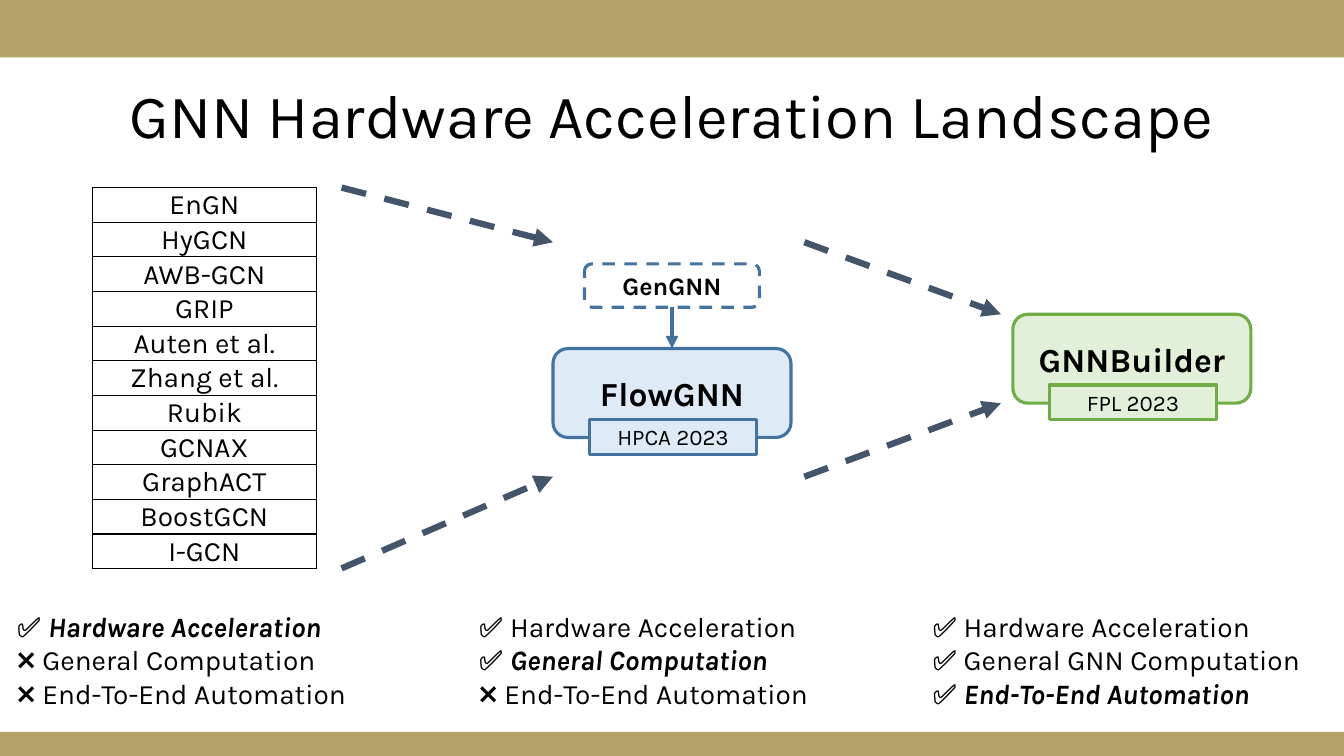
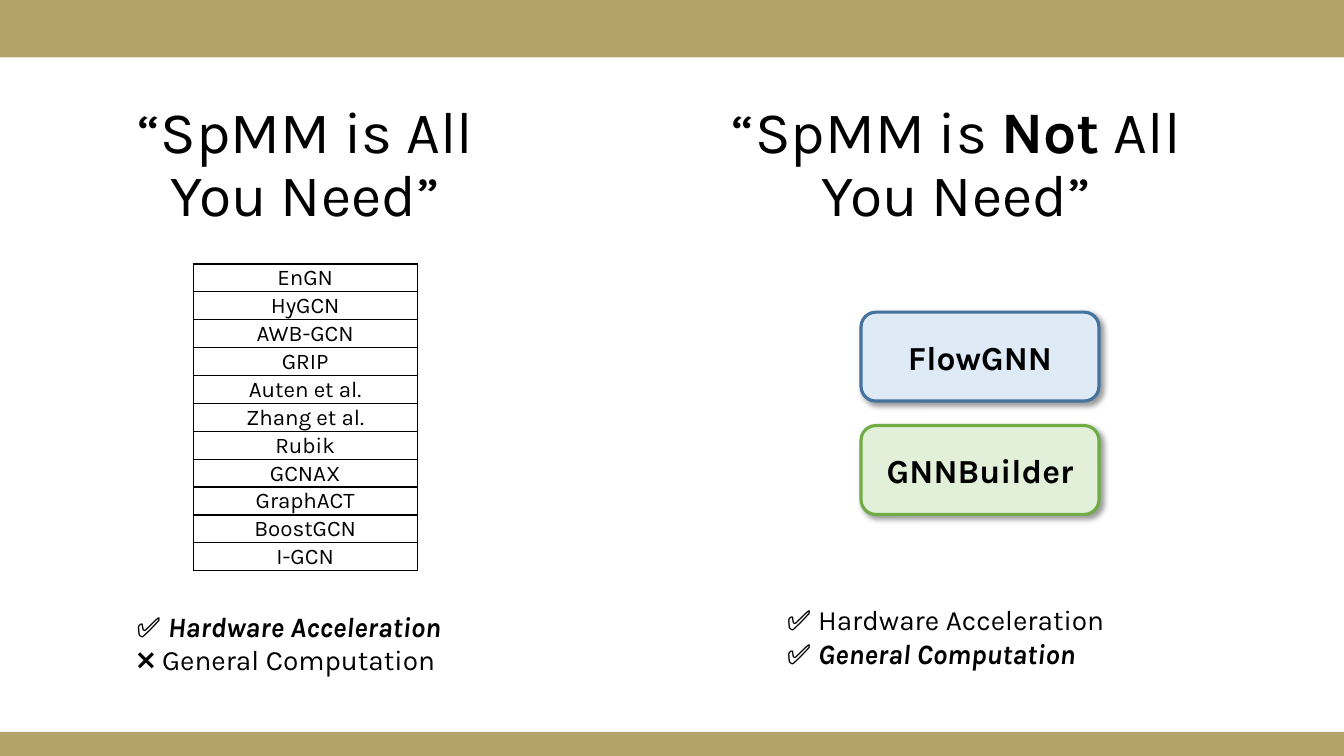
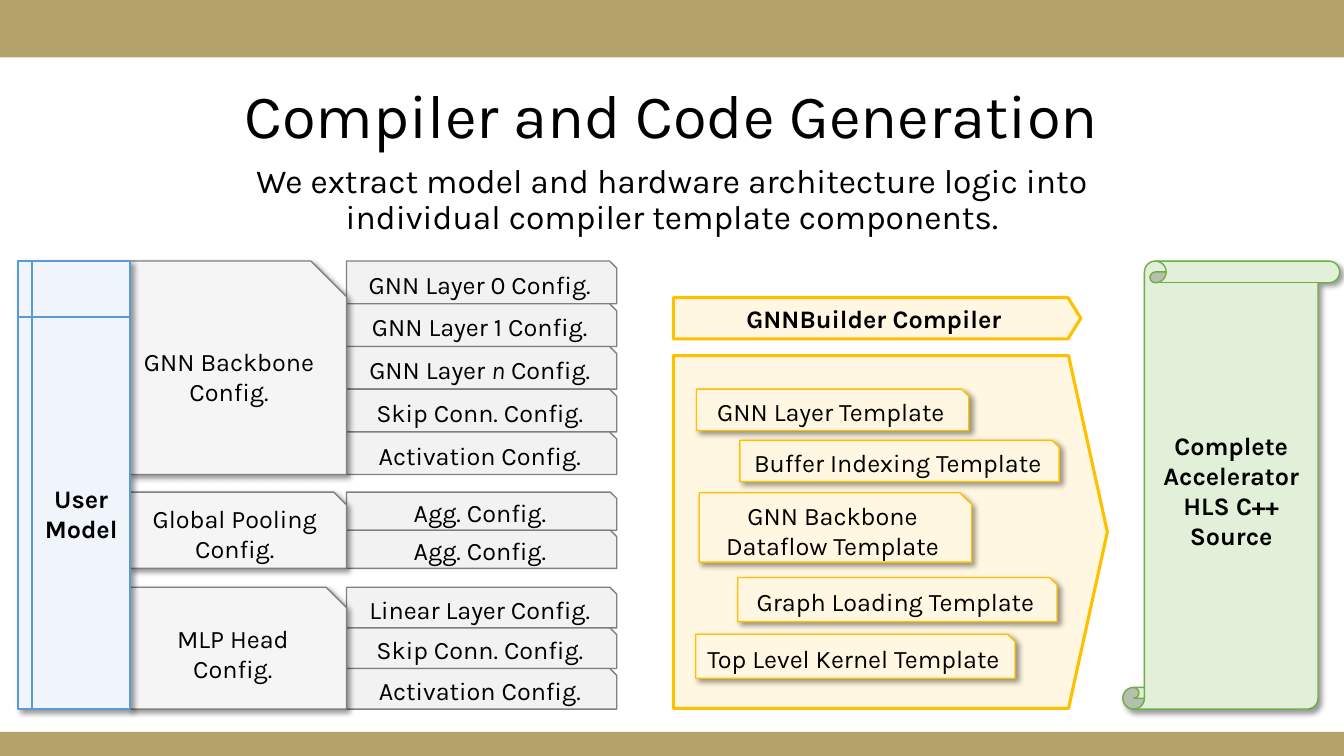
from lxml import etree
from pptx import Presentation
from pptx.dml.color import RGBColor
from pptx.enum import dml, shapes, text as t
from pptx.oxml.ns import qn
from pptx.util import Pt

FONT = "Karla"
BLACK = RGBColor(0x00, 0x00, 0x00)
WHITE = RGBColor(0xFF, 0xFF, 0xFF)
GOLD = RGBColor(0xB3, 0xA3, 0x69)
SLATE = RGBColor(0x44, 0x54, 0x6A)
BLUE = RGBColor(0x43, 0x73, 0x9E)
ARROW_BLUE = RGBColor(0x41, 0x71, 0x9C)
PALE_BLUE = RGBColor(0xDE, 0xEB, 0xF7)
MODEL_BLUE = RGBColor(0x5B, 0x9B, 0xD5)
MODEL_PALE = RGBColor(0xEF, 0xF5, 0xFB)
GREEN = RGBColor(0x70, 0xAD, 0x47)
PALE_GREEN = RGBColor(0xE2, 0xF0, 0xD9)
YELLOW = RGBColor(0xFF, 0xC0, 0x00)
PALE_YELLOW = RGBColor(0xFF, 0xF7, 0xE1)
GRAY = RGBColor(0x80, 0x80, 0x80)
LIGHT_GRAY = RGBColor(0xF2, 0xF2, 0xF2)
LIGHTER_GRAY = RGBColor(0xF5, 0xF5, 0xF5)

WIDTH, HEIGHT = 960, 540
KIND = shapes.MSO_SHAPE
ALIGN = t.PP_ALIGN
ANCHOR = t.MSO_ANCHOR
TITLE_BOX = (34.5, 57, 891, 56)
CARD_SIZE = (170, 63.5)
FLOW = ("FlowGNN", PALE_BLUE, BLUE)
BUILDER = ("GNNBuilder", PALE_GREEN, GREEN)
PRIOR_WORK = ["EnGN", "HyGCN", "AWB-GCN", "GRIP", "Auten et al.", "Zhang et al.",
              "Rubik", "GCNAX", "GraphACT", "BoostGCN", "I-GCN"]
CONFIG_GROUPS = [
    ("GNN Backbone\nConfig.", 0, 30.5,
     ["GNN Layer 0 Config.", "GNN Layer 1 Config.", "GNN Layer *n* Config.",
      "Skip Conn. Config.", "Activation Config."]),
    ("Global Pooling Config.", 165, 27.25, ["Agg. Config.", "Agg. Config."]),
    ("MLP Head\nConfig.", 233, 29,
     ["Linear Layer Config.", "Skip Conn. Config.", "Activation Config."]),
]
TEMPLATES = [
    ("GNN Layer Template", 16.5, 24, 194.5, 29.5),
    ("Buffer Indexing Template", 47.5, 60.5, 228, 29.5),
    ("GNN Backbone\nDataflow Template", 18.5, 98, 194.5, 49.5),
    ("Graph Loading Template", 46, 158.5, 228, 31.5),
    ("Top Level Kernel Template", 16, 199, 228, 31.5),
]


def write(frame, text, size=18, bold=False, align=ALIGN.CENTER, anchor=ANCHOR.MIDDLE,
          spacing=None, emphasis=("bold", "italic")):
    """Fill a text frame, one paragraph per line, with *starred* parts emphasised."""
    frame.word_wrap = True
    frame.vertical_anchor = anchor
    for index, line in enumerate(text.split("\n")):
        paragraph = frame.paragraphs[0] if index == 0 else frame.add_paragraph()
        paragraph.alignment = align
        if spacing:
            paragraph.line_spacing = spacing
        for part, words in enumerate(line.split("*")):
            if not words:
                continue
            run = paragraph.add_run()
            run.text = words
            run.font.name = FONT
            run.font.size = Pt(size)
            run.font.color.rgb = BLACK
            run.font.bold = bold
            if part % 2:
                for style in emphasis:
                    setattr(run.font, style, True)


def add_text(slide, box, text, **format):
    """Add a text box."""
    write(slide.shapes.add_textbox(*map(Pt, box)).text_frame, text, **format)


def add_box(slide, kind, box, fill, line=None, weight=1, text="", dashed=False,
            shadow=False, adjust=None, **format):
    """Add a preset shape with its fill, outline, shadow and text."""
    shape = slide.shapes.add_shape(kind, *map(Pt, box))
    if adjust is not None:
        shape.adjustments[0] = adjust
    shape.fill.solid()
    shape.fill.fore_color.rgb = fill
    if line is None:
        shape.line.fill.background()
    else:
        shape.line.color.rgb = line
        shape.line.width = Pt(weight)
    if dashed:
        shape.line.dash_style = dml.MSO_LINE.DASH
    shape.shadow.inherit = False
    if shadow:
        effects = shape._element.spPr.find(qn("a:effectLst"))
        outer = etree.SubElement(effects, qn("a:outerShdw"), blurRad=str(Pt(4)),
                                 dist=str(Pt(3)), dir="2700000", algn="tl", rotWithShape="0")
        color = etree.SubElement(outer, qn("a:srgbClr"), val=str(BLACK))
        etree.SubElement(color, qn("a:alpha"), val="40000")
    if text:
        write(shape.text_frame, text, **format)


def add_arrow(slide, start, end, color, weight, dashed=False):
    """Add a straight arrow between two points."""
    connector = slide.shapes.add_connector(shapes.MSO_CONNECTOR.STRAIGHT,
                                           *map(Pt, (*start, *end)))
    connector.line.color.rgb = color
    connector.line.width = Pt(weight)
    if dashed:
        connector.line.dash_style = dml.MSO_LINE.DASH
    properties = connector._element.spPr
    etree.SubElement(properties.find(qn("a:ln")), qn("a:tailEnd"), type="triangle")
    etree.SubElement(properties, qn("a:effectLst"))


def add_work_table(slide, left, top, row_height, size):
    """Add the one-column table of prior work."""
    count = len(PRIOR_WORK)
    table = slide.shapes.add_table(count, 1, Pt(left), Pt(top), Pt(160),
                                   Pt(row_height * count)).table
    table.first_row = table.horz_banding = False
    for row, name in enumerate(PRIOR_WORK):
        table.rows[row].height = Pt(row_height)
        cell = table.cell(row, 0)
        cell.margin_left = cell.margin_right = cell.margin_top = Pt(0.72)
        cell.margin_bottom = 0
        properties = cell._tc.get_or_add_tcPr()
        for side in ("a:lnL", "a:lnR", "a:lnT", "a:lnB"):
            border = etree.SubElement(properties, qn(side), w=str(Pt(1)))
            solid = etree.SubElement(border, qn("a:solidFill"))
            etree.SubElement(solid, qn("a:srgbClr"), val=str(BLACK))
        cell.fill.solid()
        cell.fill.fore_color.rgb = WHITE
        write(cell.text_frame, name, size=size)
        cell.vertical_anchor = ANCHOR.MIDDLE


def add_checklist(slide, left, top, text):
    """Add a list of met and unmet goals."""
    add_text(slide, (left, top, 300, 80), text, size=20, align=ALIGN.LEFT, anchor=ANCHOR.TOP)


def add_project_card(slide, left, top, project, venue=None, shadow=False):
    """Add a rounded project card, with a venue badge on its lower edge if given."""
    name, fill, line = project
    add_box(slide, KIND.ROUNDED_RECTANGLE, (left, top, *CARD_SIZE), fill, line, 2.25, name,
            size=24, bold=True, shadow=shadow)
    if venue:
        add_box(slide, KIND.RECTANGLE, (left + 26, top + 50.5, 119.5, 25), fill, line, 2.25,
                venue, size=16)


def add_config_tree(slide, left, top):
    """Add the user model with its config groups and their parts."""
    for label, offset, row_height, parts in CONFIG_GROUPS:
        group_top = top + offset
        for row, part in enumerate(parts):
            box = (left + 234.5, group_top + row * row_height, 193, row_height)
            add_box(slide, KIND.SNIP_1_RECTANGLE, box, LIGHT_GRAY, GRAY, text=part,
                    emphasis=("italic",))
        add_box(slide, KIND.SNIP_1_RECTANGLE,
                (left + 79.5, group_top, 155, row_height * len(parts)),
                LIGHTER_GRAY, GRAY, text=label, shadow=True)
    add_box(slide, KIND.FLOWCHART_INTERNAL_STORAGE, (left, top, 80, 320), MODEL_PALE,
            MODEL_BLUE, text="User Model", bold=True, shadow=True)


def add_compiler(slide, left, top):
    """Add the compiler header and the pentagon that holds the templates."""
    add_box(slide, KIND.PENTAGON, (left, top, 291, 29.5), PALE_YELLOW, YELLOW, 2.25,
            "GNNBuilder Compiler", bold=True, adjust=0.31)
    body_top = top + 41.5
    add_box(slide, KIND.PENTAGON, (left, body_top, 310, 252), PALE_YELLOW, YELLOW, 2.25,
            adjust=0.11)
    for label, x, y, width, height in TEMPLATES:
        add_box(slide, KIND.SNIP_1_RECTANGLE, (left + x, body_top + y, width, height),
                PALE_YELLOW, YELLOW, text=label, shadow=True)


def add_slide(presentation):
    """Add a blank slide with the gold bands."""
    slide = presentation.slides.add_slide(presentation.slide_layouts[6])
    add_box(slide, KIND.RECTANGLE, (0, 0, WIDTH, 41), GOLD)
    add_box(slide, KIND.RECTANGLE, (0, 522.7, WIDTH, 17.3), GOLD)
    return slide


def add_title(slide, text, box=TITLE_BOX, size=44):
    """Add a title in the shared style."""
    add_text(slide, box, text, size=size, spacing=0.9, emphasis=("bold",))


def build_landscape(presentation):
    """Build the slide on the acceleration landscape."""
    slide = add_slide(presentation)
    add_title(slide, "GNN Hardware Acceleration Landscape")
    add_work_table(slide, 66, 134, 24.25, 20)
    add_checklist(slide, 5, 431.5, "✅ *Hardware Acceleration*\n❌ General Computation\n"
                                   "❌ End-To-End Automation")
    add_checklist(slide, 335, 431.5, "✅ Hardware Acceleration\n✅ *General Computation*\n"
                                     "❌ End-To-End Automation")
    add_checklist(slide, 659, 431.5, "✅ Hardware Acceleration\n✅ General GNN Computation\n"
                                     "✅ *End-To-End Automation*")
    add_box(slide, KIND.ROUNDED_RECTANGLE, (417.5, 188.5, 125, 31), WHITE, BLUE, 2.25,
            "GenGNN", bold=True, dashed=True)
    for start, end in [((244, 134), (395, 173)), ((244, 406), (395, 340.5)),
                       ((574.5, 173), (715, 224.5)), ((574.5, 340.5), (715, 288))]:
        add_arrow(slide, start, end, SLATE, 4.5, dashed=True)
    add_arrow(slide, (480, 219), (480, 249), ARROW_BLUE, 3)
    add_project_card(slide, 395, 249, FLOW, "HPCA 2023")
    add_project_card(slide, 723.5, 224.5, BUILDER, "FPL 2023")


def build_comparison(presentation):
    """Build the slide that sets two views side by side."""
    slide = add_slide(presentation)
    add_title(slide, "“SpMM is *Not* All You Need”", (512, 71, 342, 95), 42)
    add_title(slide, "“SpMM is All You Need”", (69, 71, 298, 95), 42)
    add_work_table(slide, 138, 188.5, 19.45, 16)
    add_checklist(slide, 90.5, 431.5, "✅ *Hardware Acceleration*\n❌ General Computation")
    add_checklist(slide, 555, 427, "✅ Hardware Acceleration\n✅ *General Computation*")
    for row, project in enumerate((FLOW, BUILDER)):
        add_project_card(slide, 615, 223 + row * 81, project, shadow=True)


def build_compiler(presentation):
    """Build the slide on the compiler and its templates."""
    slide = add_slide(presentation)
    add_title(slide, "Compiler and Code Generation")
    add_text(slide, (156, 114, 648, 68), "We extract model and hardware architecture logic into "
             "individual compiler template components.", size=24, spacing=0.9, anchor=ANCHOR.TOP)
    add_config_tree(slide, 13, 186.5)
    add_compiler(slide, 481, 212.5)
    add_box(slide, KIND.VERTICAL_SCROLL, (802, 186.5, 155, 320), PALE_GREEN, GREEN,
            text="Complete Accelerator HLS C++ Source", bold=True, shadow=True, adjust=0.1)


def main():
    """Build and save the presentation."""
    presentation = Presentation()
    presentation.slide_width, presentation.slide_height = Pt(WIDTH), Pt(HEIGHT)
    build_landscape(presentation)
    build_comparison(presentation)
    build_compiler(presentation)
    presentation.save("out.pptx")


if __name__ == "__main__":
    main()
